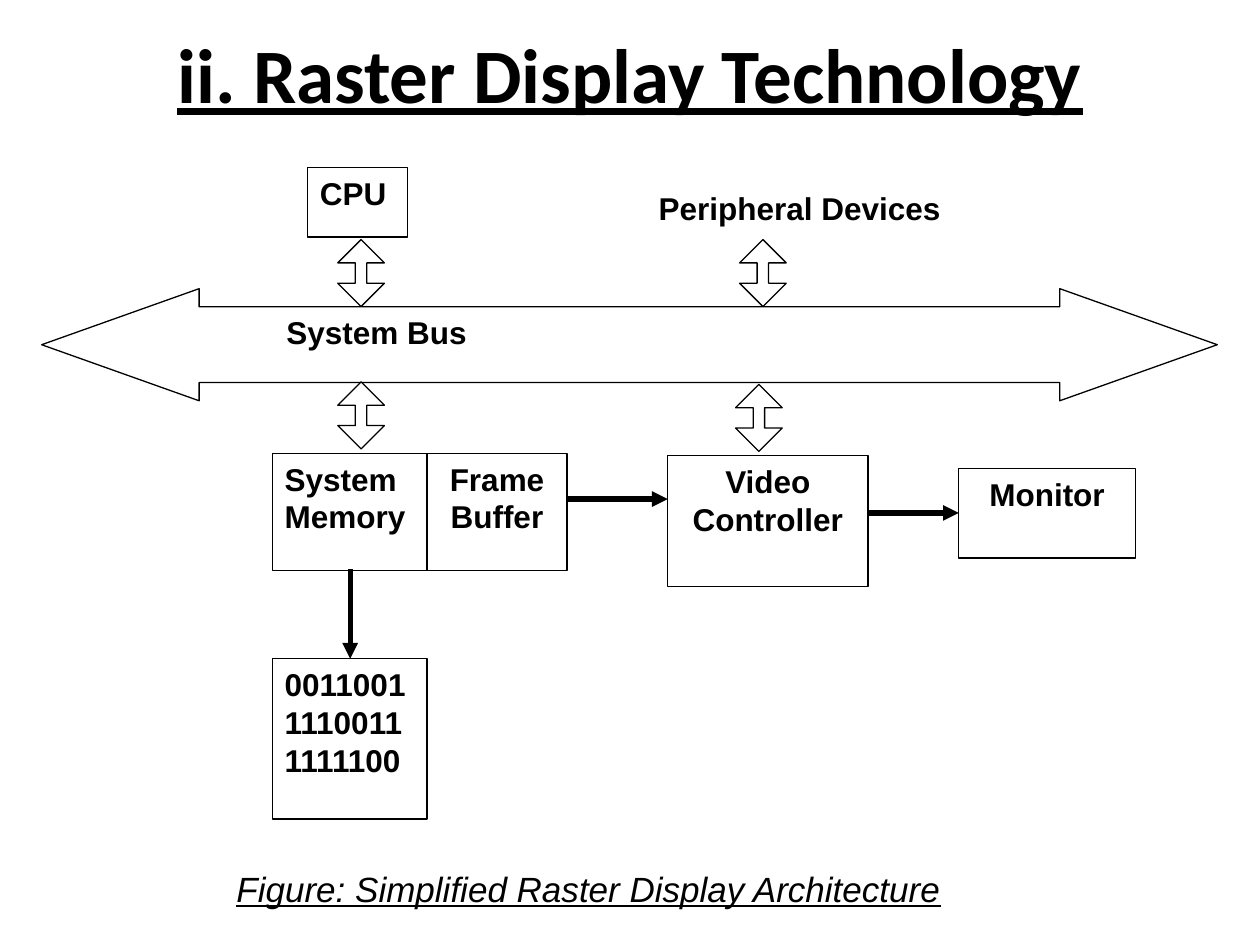
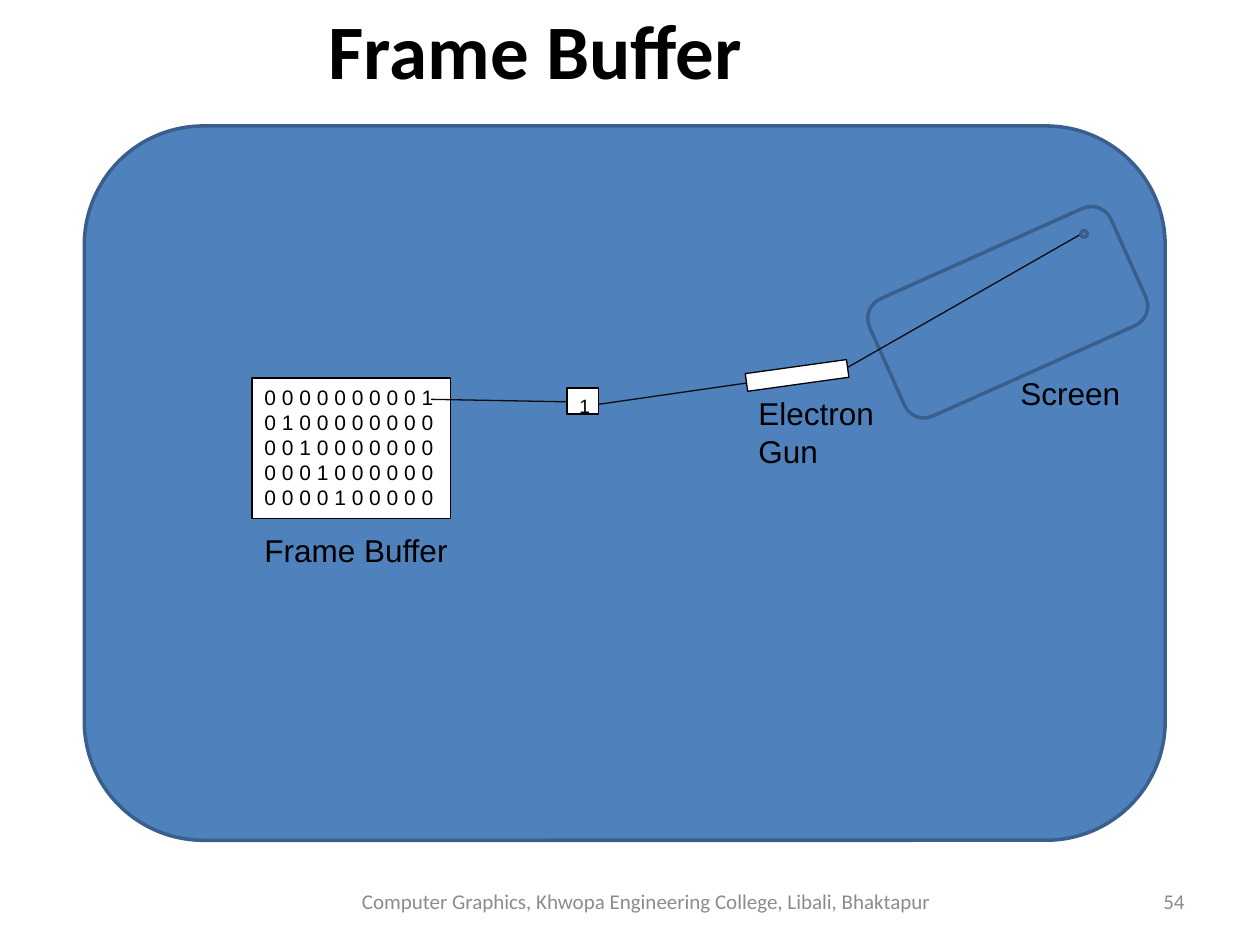
"""Builds two slides on raster display architecture and the frame buffer."""
from lxml import etree
from pptx import Presentation
from pptx.dml.color import RGBColor
from pptx.enum.shapes import MSO_CONNECTOR as Connector, MSO_SHAPE as Shape
from pptx.enum.text import MSO_ANCHOR as Anchor, MSO_AUTO_SIZE as AutoSize, PP_ALIGN as Align
from pptx.oxml.ns import qn
from pptx.util import Cm, Pt

COLOURS = {
    "ink": "000000",
    "paper": "FFFFFF",
    "beam": "0D0D0D",
    "panel": "4F81BD",
    "edge": "3A5F8C",
    "footer": "8C8C8C",
}
HEADING_FONT, BODY_FONT = "Calibri", "Arial"
TITLE_ONLY = 5


class Deck:
    """Holds the presentation, its style and the current page."""

    def __init__(self):
        self.show = Presentation()
        self.show.slide_width, self.show.slide_height = Cm(25.4), Cm(19.05)
        self.page = None

    def colour(self, name):
        return RGBColor.from_string(COLOURS[name])

    def set_text(self, frame, text, size=18, font=BODY_FONT, colour="ink", align=Align.LEFT,
                 anchor=Anchor.TOP, wrap=True, **effects):
        frame.word_wrap = wrap
        frame.vertical_anchor = anchor
        frame.text = text
        for para in frame.paragraphs:
            para.alignment = align
            para.font.name, para.font.size = font, Pt(size)
            para.font.color.rgb = self.colour(colour)
            for effect, value in effects.items():
                setattr(para.font, effect, value)

    def add_page(self, title, place, **effects):
        self.page = self.show.slides.add_slide(self.show.slide_layouts[TITLE_ONLY])
        holder = self.page.shapes.title
        holder.left, holder.top, holder.width, holder.height = map(Cm, place)
        self.set_text(holder.text_frame, title, 44, HEADING_FONT, align=Align.CENTER,
                      anchor=Anchor.MIDDLE, bold=True, **effects)
        holder.text_frame.auto_size = AutoSize.NONE

    def label(self, text, place, **style):
        box = self.page.shapes.add_textbox(*map(Cm, place))
        self.set_text(box.text_frame, text, **style)

    def footer(self, text, place, align):
        self.label(text, place, size=12, font=HEADING_FONT, colour="footer",
                   align=align, anchor=Anchor.MIDDLE)

    def shape(self, kind, place, fill="paper", line="ink", weight=0.75, turn=0,
              adjust=(), text="", **style):
        shape = self.page.shapes.add_shape(kind, *map(Cm, place))
        shape.shadow.inherit = False
        shape.fill.solid()
        shape.fill.fore_color.rgb = self.colour(fill)
        shape.line.color.rgb = self.colour(line)
        shape.line.width = Pt(weight)
        shape.rotation = turn
        for index, value in enumerate(adjust):
            shape.adjustments[index] = value
        if text:
            self.set_text(shape.text_frame, text, **style)
        return shape

    def box(self, text, place, **style):
        return self.shape(Shape.RECTANGLE, place, text=text, **style)

    def blue(self, kind, place, turn=0):
        self.shape(kind, place, "panel", "edge", 2, turn)

    def line(self, start, end, colour="beam", weight=0.75, arrow=False):
        line = self.page.shapes.add_connector(Connector.STRAIGHT, *map(Cm, start + end))
        line.line.color.rgb = self.colour(colour)
        line.line.width = Pt(weight)
        if arrow:
            etree.SubElement(line.get_or_add_ln(), qn("a:tailEnd"), type="triangle")
        etree.SubElement(line.element.spPr, qn("a:effectLst"))


def build_architecture(deck):
    deck.add_page("ii. Raster Display Technology", (1.91, 0.2, 21.59, 2.54), underline=True)
    bus = deck.shape(Shape.LEFT_RIGHT_ARROW, (0.84, 5.82, 23.7, 2.26),
                     adjust=(0.676, 1.405), text="System Bus", bold=True)
    bus.text_frame.margin_left = Cm(2.79)
    for left, top in ((6.81, 4.83), (14.91, 4.83), (6.81, 7.7), (14.83, 7.75)):
        deck.shape(Shape.UP_DOWN_ARROW, (left, top, 0.94, 1.35), adjust=(0.5, 0.245))

    deck.label("Peripheral Devices", (13.03, 3.68, 6.22, 1.24), bold=True)
    for text, place, align in (
        ("CPU", (6.2, 3.38, 2.01, 1.4), Align.LEFT),
        ("System Memory", (5.49, 9.14, 3.12, 2.36), Align.LEFT),
        ("Frame Buffer", (8.61, 9.14, 2.82, 2.36), Align.CENTER),
        ("Video Controller", (13.46, 9.19, 4.04, 2.64), Align.CENTER),
        ("Monitor", (19.33, 9.45, 3.56, 1.8), Align.CENTER),
        ("0011001 1110011 1111100", (5.49, 13.28, 3.12, 3.23), Align.LEFT),
    ):
        deck.box(text, place, align=align, bold=True)

    for start, end in (
        ((11.43, 10.06), (13.46, 10.06)),
        ((17.48, 10.34), (19.33, 10.34)),
        ((7.06, 11.48), (7.06, 13.28)),
    ):
        deck.line(start, end, "ink", 3, arrow=True)
    deck.label("Figure: Simplified Raster Display Architecture", (4.45, 17.35, 14.83, 1.12),
               size=20, align=Align.CENTER, anchor=Anchor.MIDDLE, wrap=False,
               italic=True, underline=True)


def build_frame_buffer(deck):
    deck.add_page("Frame Buffer", (0, -1.07, 21.59, 4.09))
    deck.blue(Shape.ROUNDED_RECTANGLE, (1.7, 2.54, 21.79, 14.4))
    lit_columns = (9, 1, 2, 3, 4)
    bits = "\n".join(" ".join("1" if column == lit else "0" for column in range(10))
                     for lit in lit_columns)
    deck.box(bits, (5.08, 7.62, 4.01, 2.84), size=12)
    deck.box("1", (11.43, 7.82, 0.64, 0.53), size=11)

    deck.line((8.69, 8.05), (11.43, 8.1))
    deck.line((12.07, 8.15), (15.06, 7.72))
    deck.blue(Shape.ROUNDED_RECTANGLE, (17.65, 5, 5.33, 2.59), turn=335.9)
    deck.line((16.94, 7.49), (21.79, 4.72))
    deck.blue(Shape.OVAL, (21.79, 4.65, 0.13, 0.13))
    deck.shape(Shape.RECTANGLE, (15.04, 7.39, 2.06, 0.36), turn=352.1)

    for text, place in (
        ("Frame Buffer", (5.08, 10.59, 4.24, 1.02)),
        ("Screen", (20.32, 7.42, 2.54, 1.02)),
        ("Electron\nGun", (15.04, 7.82, 3.05, 1.8)),
    ):
        deck.label(text, place, wrap=False)
    deck.footer("Computer Graphics, Khwopa Engineering College, Libali, Bhaktapur",
                (6.78, 17.65, 12.5, 1.02), Align.CENTER)
    deck.footer("54", (18.21, 17.65, 5.92, 1.02), Align.RIGHT)


def main():
    deck = Deck()
    build_architecture(deck)
    build_frame_buffer(deck)
    deck.show.save("out.pptx")


if __name__ == "__main__":
    main()
